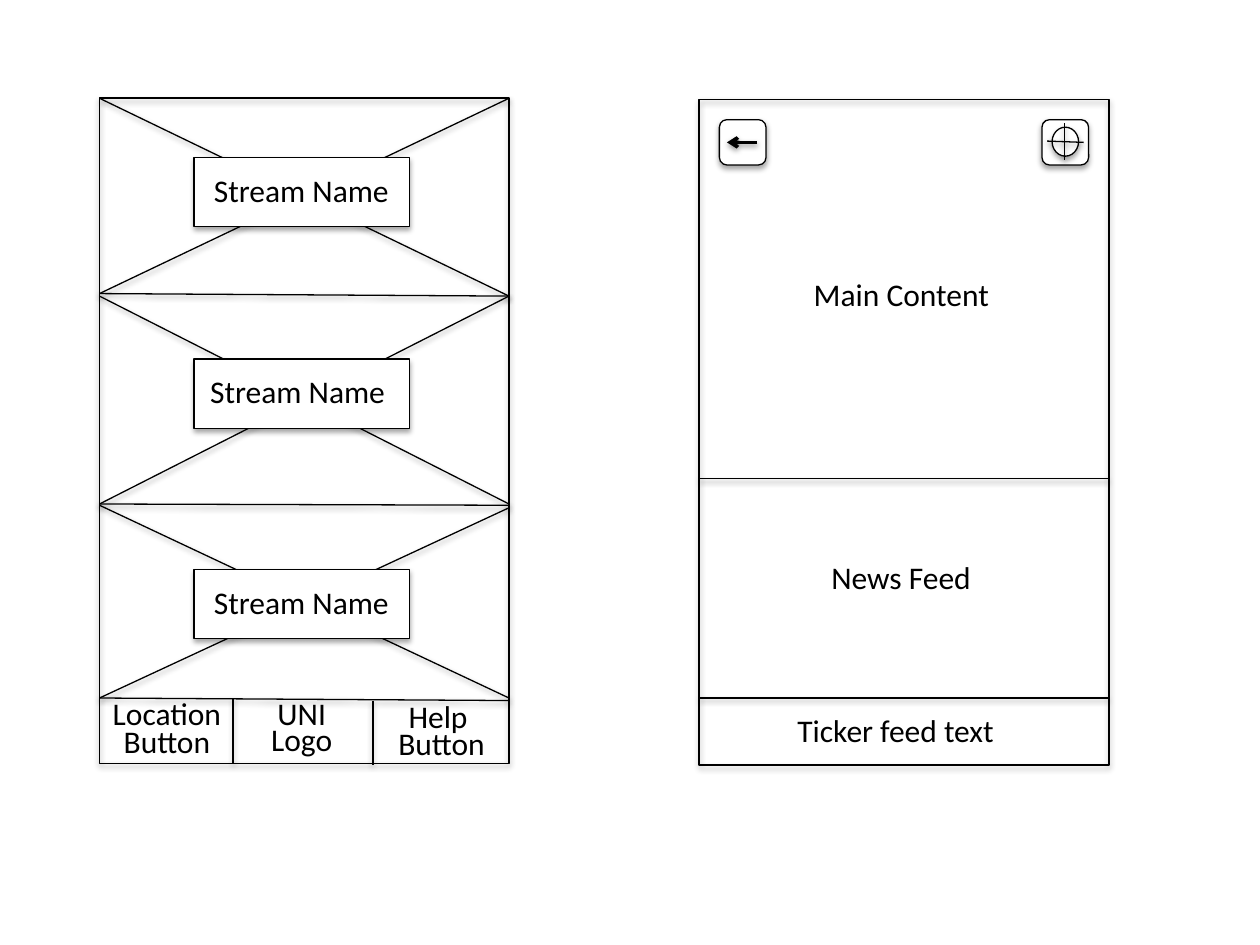
from lxml import etree
from pptx import Presentation
from pptx.dml.color import RGBColor
from pptx.enum.shapes import MSO_CONNECTOR, MSO_SHAPE
from pptx.enum.text import MSO_AUTO_SIZE, PP_ALIGN
from pptx.oxml.ns import qn
from pptx.util import Inches, Pt

BLACK = RGBColor(0, 0, 0)
WHITE = RGBColor(255, 255, 255)
RECT = MSO_SHAPE.RECTANGLE
ROUND = MSO_SHAPE.ROUNDED_RECTANGLE
OVAL = MSO_SHAPE.OVAL
STRAIGHT = MSO_CONNECTOR.STRAIGHT
CENTER = PP_ALIGN.CENTER
LEFT = PP_ALIGN.LEFT
FIT = MSO_AUTO_SIZE.SHAPE_TO_FIT_TEXT

PHONE_W, PHONE_H = 3.25, 5.28
HOME_X, HOME_Y = 0.79, 0.78
STORY_X, STORY_Y = 5.55, 0.79
BAR_Y = 5.54

# top left, top right, bottom left, bottom right
STREAMS = [
    {"corners": (0.78, 0.78, 2.33, 2.35), "box": 1.25, "label": (1.6, 1.31)},
    {"corners": (2.35, 2.35, 4.0, 4.0), "box": 2.85, "label": (1.57, 2.9)},
    {"corners": (4.01, 4.03, 5.54, 5.54), "box": 4.52, "label": (1.6, 4.58)},
]
DIVIDERS = [(2.33, 2.35), (4.0, 4.01), (5.54, 5.56)]
BUTTON_EDGES = [(1.85, 5.54, 6.06), (2.96, 5.56, 6.07)]
BUTTONS = [
    (0.79, 5.46, 0.63, [("Location", None), ("Button", 0.7)]),
    (1.86, 5.54, 0.54, [("UNI Logo", 0.7)]),
    (2.97, 5.48, 0.63, [("Help ", None), ("Button", 0.7)]),
]
STORY_LABELS = [
    ("Main Content", 6.36, 2.13, 1.79),
    ("News Feed", 6.5, 4.38, 1.39),
    ("Ticker feed text", 6.23, 5.59, 2.79),
]
ICON_XS = [5.71, 8.27]
CROSSHAIR = [(8.45, 0.98, 8.45, 1.27), (8.6, 1.13, 8.31, 1.12)]

prs = Presentation()
prs.slide_width, prs.slide_height = Inches(10), Inches(7.5)
s = prs.slides.add_slide(prs.slide_layouts[6])


def add_shadow(sp, distance, opacity):
    effects = sp._element.spPr.find(qn("a:effectLst"))
    if effects is None:
        effects = etree.SubElement(sp._element.spPr, qn("a:effectLst"))
    shadow = etree.SubElement(
        effects, qn("a:outerShdw"), blurRad=str(Pt(3.1)),
        dist=str(Pt(distance)), dir="5400000", rotWithShape="0")
    color = etree.SubElement(shadow, qn("a:srgbClr"), val=str(BLACK))
    etree.SubElement(color, qn("a:alpha"), val=str(opacity * 1000))


def add_box(kind, x, y, w, h, fill=WHITE, width=0.75):
    sp = s.shapes.add_shape(kind, Inches(x), Inches(y), Inches(w), Inches(h))
    if fill is None:
        sp.fill.background()
    else:
        sp.fill.solid()
        sp.fill.fore_color.rgb = fill
    sp.line.color.rgb = BLACK
    sp.line.width = Pt(width)
    sp.shadow.inherit = False
    add_shadow(sp, 1.8, 35)


def add_line(x1, y1, x2, y2, width=0.75, arrow=False):
    sp = s.shapes.add_connector(
        STRAIGHT, Inches(x1), Inches(y1), Inches(x2), Inches(y2))
    sp.line.color.rgb = BLACK
    sp.line.width = Pt(width)
    if arrow:
        etree.SubElement(sp.line._get_or_add_ln(), qn("a:tailEnd"), type="arrow")
    add_shadow(sp, 1.6, 38)


def add_text(paragraphs, x, y, w, h=0.4, align=LEFT):
    sp = s.shapes.add_textbox(Inches(x), Inches(y), Inches(w), Inches(h))
    tf = sp.text_frame
    tf.word_wrap = True
    tf.auto_size = FIT
    for i, (text, spacing) in enumerate(paragraphs):
        p = tf.add_paragraph() if i else tf.paragraphs[0]
        p.text = text
        p.alignment = align
        p.line_spacing = spacing
        font = p.runs[0].font
        font.name = "Calibri"
        font.size = Pt(18)
        font.color.rgb = BLACK


home_right = HOME_X + PHONE_W
add_box(RECT, HOME_X, HOME_Y, PHONE_W, PHONE_H, None, 1)
for left_y, right_y in DIVIDERS:
    add_line(HOME_X, left_y, home_right, right_y)
for stream in STREAMS:
    top_left, top_right, bottom_left, bottom_right = stream["corners"]
    add_line(HOME_X, top_left, home_right, bottom_right)
    add_line(home_right, top_right, HOME_X, bottom_left)
    add_box(RECT, 1.54, stream["box"], 1.71, 0.55)
    add_text([("Stream Name", None)], *stream["label"], 1.63)
for x, top, bottom in BUTTON_EDGES:
    add_line(x, top, x, bottom)
for x, y, h, paragraphs in BUTTONS:
    add_text(paragraphs, x, y, 1.07, h, CENTER)

add_box(RECT, STORY_X, STORY_Y, PHONE_W, PHONE_H, None, 1)
for y in (3.8, BAR_Y):
    add_line(STORY_X, y, STORY_X + PHONE_W, y)
for x in ICON_XS:
    add_box(ROUND, x, 0.95, 0.37, 0.36)
for text, x, y, w in STORY_LABELS:
    add_text([(text, None)], x, y, w)
add_line(6.01, 1.13, 5.77, 1.13, 2, True)
add_box(OVAL, 8.35, 1.01, 0.21, 0.23)
for ends in CROSSHAIR:
    add_line(*ends)

prs.save("out.pptx")
